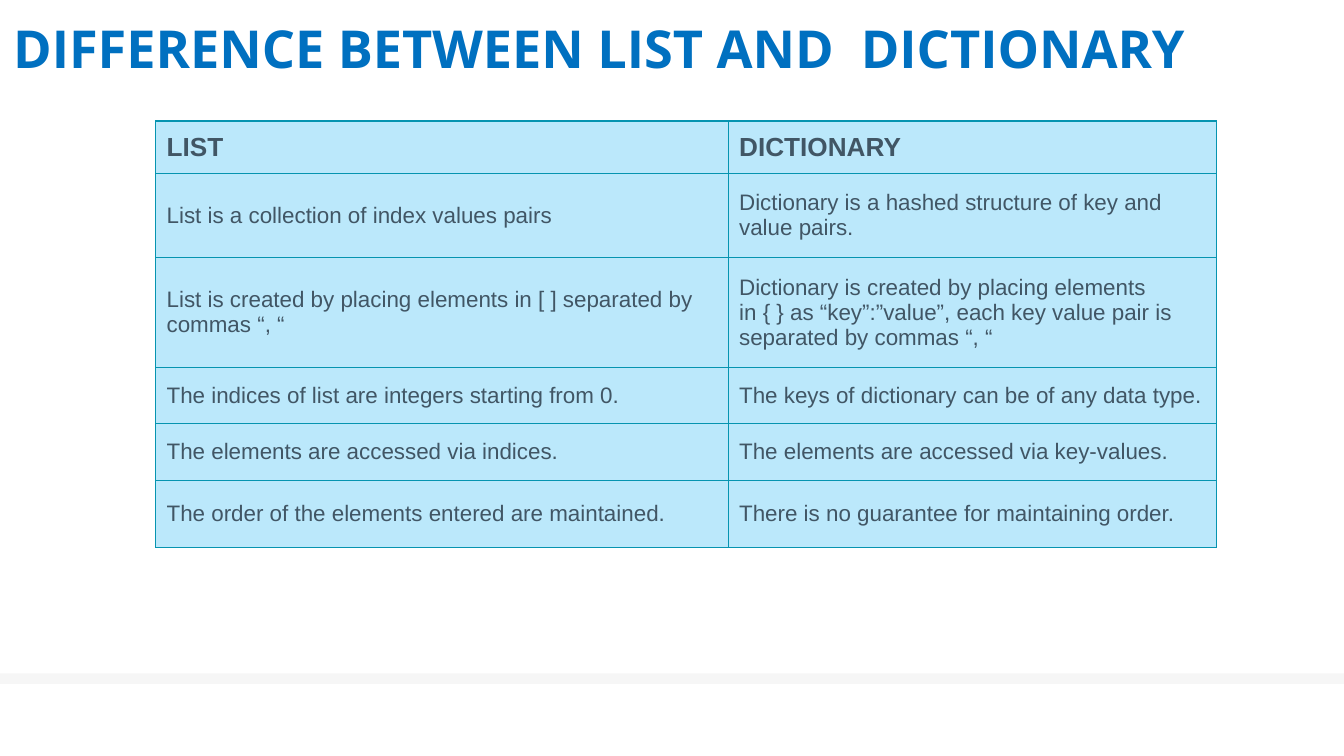
from lxml.etree import SubElement
from pptx import Presentation
from pptx.dml.color import RGBColor
from pptx.enum.shapes import MSO_SHAPE
from pptx.enum.text import MSO_ANCHOR
from pptx.oxml.ns import qn
from pptx.util import Inches, Pt

TITLE = "DIFFERENCE BETWEEN LIST AND  DICTIONARY"
HARD_SPACE = chr(160)
ROWS = [
    ("LIST", "DICTIONARY"),
    ("List is a collection of index values pairs",
     "Dictionary is a hashed structure of~key and value~pairs."),
    ("List is created by placing elements in~[ ]~separated by commas “, “",
     "Dictionary is created by placing elements in~{ }~as “key”:”value”, "
     "each key value pair is separated by commas “, “"),
    ("The indices of list are integers starting from 0.",
     "The keys of dictionary can be of any data type."),
    ("The elements are accessed via indices.",
     "The elements are accessed via key-values."),
    ("The order of the elements entered are maintained.",
     "There is no guarantee for maintaining order."),
]
COLUMN_WIDTHS = [4.26, 3.63]
ROW_HEIGHTS = [0.31, 0.46, 0.62, 0.41, 0.41, 0.5]
BLUE, SLATE, TEAL = "0070C0", "415665", "0694B0"
PALE_BLUE, PALE_GREY = "BBE8FB", "F6F6F6"


def paint(fill, color):
    fill.solid()
    fill.fore_color.rgb = RGBColor.from_string(color)


def set_font(font, name, size, color, bold):
    font.name, font.size, font.bold = name, Pt(size), bold
    font.color.rgb = RGBColor.from_string(color)


def set_insets(area, across, down):
    area.margin_left = area.margin_right = Inches(across)
    area.margin_top = area.margin_bottom = Inches(down)


def add_borders(cell, color, width):
    properties = cell._tc.get_or_add_tcPr()
    for side in ("a:lnL", "a:lnR", "a:lnT", "a:lnB"):
        line = SubElement(properties, qn(side), w=str(Pt(width)))
        SubElement(SubElement(line, qn("a:solidFill")), qn("a:srgbClr"), val=color)


def add_band(slide):
    band = slide.shapes.add_shape(
        MSO_SHAPE.RECTANGLE, 0, Inches(5.01), Inches(10), Inches(0.08))
    band.shadow.inherit = False
    paint(band.fill, PALE_GREY)
    band.line.fill.background()


def add_title(slide):
    heading = slide.shapes.add_textbox(
        0, Inches(0.01), Inches(10.77), Inches(0.68)).text_frame
    heading.word_wrap = True
    heading.vertical_anchor = MSO_ANCHOR.BOTTOM
    set_insets(heading, 0.1, 0.1)
    heading.text = TITLE
    set_font(heading.paragraphs[0].font, "Open Sans", 28, BLUE, True)


def add_comparison(slide):
    frame = slide.shapes.add_table(
        len(ROWS), len(COLUMN_WIDTHS), Inches(1.16), Inches(0.9),
        Inches(sum(COLUMN_WIDTHS)), Inches(sum(ROW_HEIGHTS)))
    comparison = frame.table
    for column, width in zip(comparison.columns, COLUMN_WIDTHS):
        column.width = Inches(width)
    for index, (row, height, texts) in enumerate(
            zip(comparison.rows, ROW_HEIGHTS, ROWS)):
        row.height = Inches(height)
        is_header = index == 0
        for cell, text in zip(row.cells, texts):
            cell.text = text.replace("~", HARD_SPACE)
            cell.vertical_anchor = MSO_ANCHOR.MIDDLE
            set_insets(cell, 0.08, 0.08 if is_header else 0.11)
            add_borders(cell, TEAL, 0.75)
            paint(cell.fill, PALE_BLUE)
            set_font(cell.text_frame.paragraphs[0].font, "Arial",
                     14 if is_header else 12, SLATE, is_header)
    frame.height = Inches(3.52)


def main():
    deck = Presentation()
    deck.slide_width = Inches(10)
    deck.slide_height = deck.slide_width * 9 // 16
    slide = deck.slides.add_slide(deck.slide_layouts[6])
    add_band(slide)
    add_title(slide)
    add_comparison(slide)
    deck.save("out.pptx")


if __name__ == "__main__":
    main()
